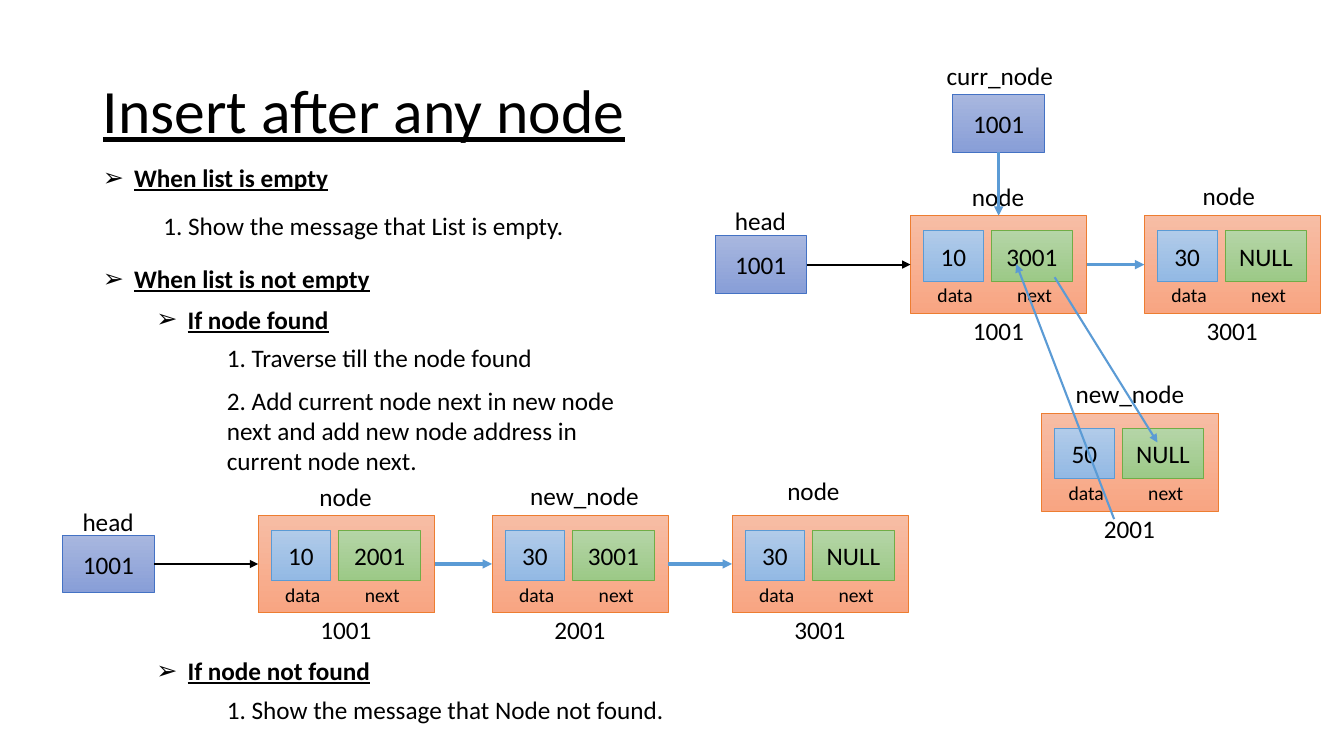
import pptx
import pptx.util
from lxml import etree
from pptx.dml.color import RGBColor
from pptx.enum.shapes import MSO_CONNECTOR, MSO_SHAPE
from pptx.enum.text import MSO_ANCHOR, MSO_AUTO_SIZE, PP_ALIGN
from pptx.oxml.ns import qn
from pptx.util import Inches, Pt

FONT = "Calibri"
COLORS = {"text": "000000", "arrow": "5B9BD5"}
# Gradient top, gradient bottom, outline
BOXES = {
    "node": ("F7BDA5", "F8A582", "ED7D31"),
    "data": ("B1CBE9", "93B9E4", "5B9BD5"),
    "next": ("B5D5A7", "9CC987", "70AD47"),
    "pointer": ("A8B7DF", "889ED7", "4472C4"),
}
# Level, left margin (in), space before (pt), bulleted heading, text
UPPER_STEPS = [
    (0, 0.31, 0, True, "When list is empty"),
    (1, 0.6, 12.5, False, "1. Show the message that List is empty."),
    (0, 0.31, 16.5, True, "When list is not empty"),
    (1, 0.84, 7.5, True, "If node found"),
    (2, 1.23, 6, False, "1. Traverse till the node found"),
    (2, 1.23, 8.5, False, "2. Add current node next in new node\v"
     "next and add new node address in\vcurrent node next."),
]
LOWER_STEPS = [
    (1, 0.84, 0, True, "If node not found"),
    (2, 1.23, 6, False, "1. Show the message that Node not found."),
]


def rgb(name):
    return RGBColor.from_string(COLORS[name])


def format_runs(p, size, bold=False, underline=False):
    for r in p.runs:
        f = r.font
        f.name, f.size = FONT, Pt(size)
        f.bold, f.underline = bold, underline
        f.color.rgb = rgb("text")


def place(sp, left, top, width, height):
    sp.left, sp.top = Inches(left), Inches(top)
    sp.width, sp.height = Inches(width), Inches(height)


def fill_title(sp, text):
    place(sp, 0.92, 0.4, 11.5, 1.45)
    tf = sp.text_frame
    tf.text = text
    tf.auto_size = MSO_AUTO_SIZE.NONE
    tf.vertical_anchor = MSO_ANCHOR.MIDDLE
    p = tf.paragraphs[0]
    p.alignment = PP_ALIGN.LEFT
    p.line_spacing = 0.9
    format_runs(p, 44, underline=True)


def fill_steps(sp, top, height, steps):
    place(sp, 0.92, top, 6, height)
    tf = sp.text_frame
    tf.auto_size = MSO_AUTO_SIZE.NONE
    for i, (level, margin, gap, heading, text) in enumerate(steps):
        p = tf.add_paragraph() if i else tf.paragraphs[0]
        p.text = text
        p.level = level
        p.space_before, p.line_spacing = Pt(gap), 1.0
        pPr = p._p.get_or_add_pPr()
        pPr.set("marL", str(Inches(margin)))
        pPr.set("indent", str(Inches(-0.31 if heading else 0)))
        if heading:
            etree.SubElement(pPr, qn("a:buChar")).set("char", "➢")
        else:
            etree.SubElement(pPr, qn("a:buNone"))
        format_runs(p, 18, bold=heading, underline=heading)


def add_label(s, text, left, top, size=18):
    """Add a one-line label, wide enough for its text at this size."""
    width = 0.007 * size * len(text) + 0.32
    sp = s.shapes.add_textbox(Inches(left), Inches(top), Inches(width),
                              Inches(0.4 if size == 18 else 0.34))
    sp.text_frame.word_wrap = True
    sp.text_frame.text = text
    format_runs(sp.text_frame.paragraphs[0], size)


def add_box(s, kind, left, top, width, height, text=""):
    sp = s.shapes.add_shape(MSO_SHAPE.RECTANGLE, Inches(left), Inches(top),
                            Inches(width), Inches(height))
    sp.shadow.inherit = False
    first, last, outline = BOXES[kind]
    sp.fill.gradient()
    sp.fill.gradient_angle = 270
    for stop, color in zip(sp.fill.gradient_stops, (first, last)):
        stop.color.rgb = RGBColor.from_string(color)
    sp.line.color.rgb = RGBColor.from_string(outline)
    sp.line.width = Pt(0.5)
    if text:
        tf = sp.text_frame
        tf.text = text
        tf.vertical_anchor = MSO_ANCHOR.MIDDLE
        tf.paragraphs[0].alignment = PP_ALIGN.CENTER
        format_runs(tf.paragraphs[0], 18)
    return sp


def add_pointer(s, name, left, top, name_left, name_top):
    add_label(s, name, name_left, name_top)
    return add_box(s, "pointer", left, top, 0.91, 0.57, "1001")


def add_node(s, left, top, name, name_at, data, link, address):
    """Add a list node: its data and next cells, name above, address below."""
    sp = add_box(s, "node", left, top, 1.75, 0.97)
    add_label(s, name, *name_at)
    add_box(s, "data", left + 0.13, top + 0.15, 0.59, 0.5, data)
    add_box(s, "next", left + 0.8, top + 0.15, 0.81, 0.5, link)
    add_label(s, "data", left + 0.17, top + 0.62, 14)
    add_label(s, "next", left + 0.96, top + 0.62, 14)
    add_label(s, address, left + 0.52, top + 0.94)
    return sp


def add_arrow(s, start=(0, 0), end=(0, 0), color="arrow", width=1.5):
    c = s.shapes.add_connector(MSO_CONNECTOR.STRAIGHT,
                               *map(Inches, start + end))
    c.line.color.rgb = rgb(color)
    c.line.width = Pt(width)
    spPr = c.element.spPr
    etree.SubElement(spPr.find(qn("a:ln")), qn("a:tailEnd")).set(
        "type", "triangle")
    etree.SubElement(spPr, qn("a:effectLst"))
    return c


def join(s, source, target, sides=(3, 1), color="arrow", width=2.25):
    c = add_arrow(s, color=color, width=width)
    c.begin_connect(source, sides[0])
    c.end_connect(target, sides[1])


def add_insertion(s):
    """Draw the list while the new node is being linked in."""
    first = add_node(s, 9.03, 2.14, "node", (9.54, 1.75), "10", "3001", "1001")
    head = add_pointer(s, "head", 7.09, 2.34, 7.19, 1.99)
    join(s, head, first, color="text", width=1.5)
    last = add_node(s, 11.35, 2.14, "node", (11.83, 1.74),
                    "30", "NULL", "3001")
    join(s, first, last)
    add_node(s, 10.33, 4.1, "new_node", (10.57, 3.7), "50", "NULL", "2001")
    current = add_pointer(s, "curr_node", 9.45, 0.94, 9.29, 0.55)
    join(s, current, first, sides=(2, 0))
    add_arrow(s, (10.46, 2.75), (11.48, 4.39))
    add_arrow(s, (11.05, 5.15), (10.08, 2.62))


def add_result(s):
    """Draw the list after the insertion."""
    head = add_pointer(s, "head", 0.62, 5.31, 0.72, 4.97)
    nodes = [
        add_node(s, 2.56, 5.11, "node", (3.07, 4.73), "10", "2001", "1001"),
        add_node(s, 4.88, 5.11, "new_node", (5.16, 4.72),
                 "30", "3001", "2001"),
        add_node(s, 7.26, 5.11, "node", (7.71, 4.67), "30", "NULL", "3001"),
    ]
    join(s, head, nodes[0], color="text", width=1.5)
    for source, target in zip(nodes, nodes[1:]):
        join(s, source, target)


def main():
    prs = pptx.Presentation()
    prs.slide_width, prs.slide_height = Inches(13.33), Inches(7.5)
    two_content = prs.slide_layouts[3]
    s = prs.slides.add_slide(two_content)
    title, upper, lower = s.placeholders
    fill_title(title, "Insert after any node")
    fill_steps(upper, 1.56, 3.23, UPPER_STEPS)
    fill_steps(lower, 6.45, 0.79, LOWER_STEPS)
    add_insertion(s)
    add_result(s)
    prs.save("out.pptx")


if __name__ == "__main__":
    main()
